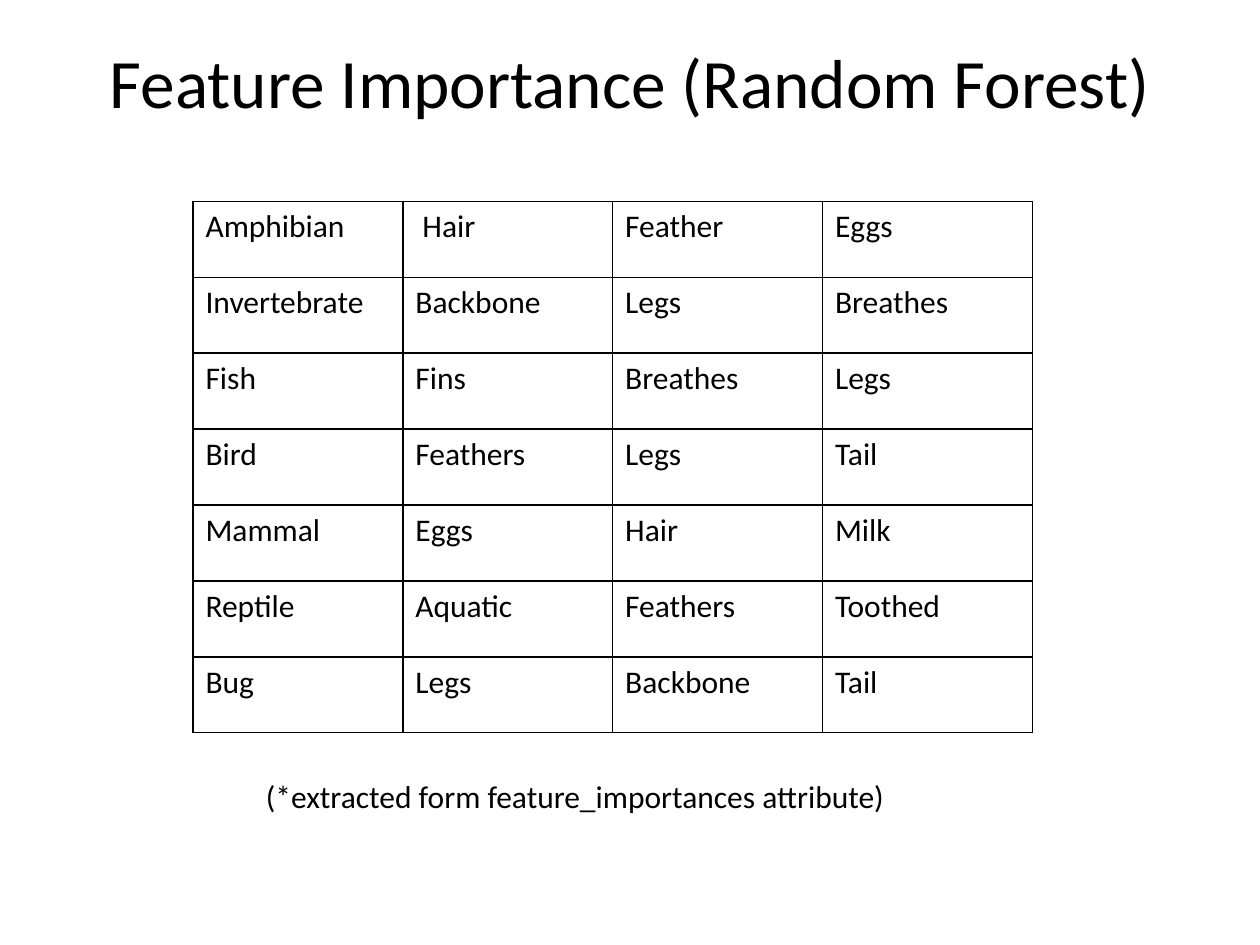
from dataclasses import dataclass

from lxml import etree
from pptx import Presentation
from pptx import util as u
from pptx.dml.color import RGBColor
from pptx.enum import text
from pptx.oxml.ns import qn


@dataclass(frozen=True)
class Theme:
    font: str = "Calibri"
    ink: str = "000000"
    paper: str = "FFFFFF"
    title_size: float = 39.6
    body_size: float = 18
    border: float = 1


def write(tf, content, *, font, size, color, align=text.PP_ALIGN.LEFT):
    """Put one formatted paragraph into a text frame."""
    p = tf.paragraphs[0]
    p.alignment = align
    r = p.add_run()
    r.text = content
    r.font.name = font
    r.font.size = u.Pt(size)
    r.font.color.rgb = RGBColor.from_string(color)


class SlideBuilder:
    def __init__(self, slide, theme):
        self.slide = slide
        self.theme = theme
        fill = slide.background.fill
        fill.solid()
        fill.fore_color.rgb = RGBColor.from_string(theme.paper)

    def text_box(self, content, left, top, width, height, *, size,
                 align=text.PP_ALIGN.LEFT, anchor=text.MSO_ANCHOR.TOP):
        sp = self.slide.shapes.add_textbox(
            u.Cm(left), u.Cm(top), u.Cm(width), u.Cm(height))
        tf = sp.text_frame
        tf.word_wrap = True
        tf.vertical_anchor = anchor
        write(tf, content, font=self.theme.font, size=size,
              color=self.theme.ink, align=align)

    def table(self, rows, left, top, col_width, row_height):
        n_rows, n_cols = len(rows), len(rows[0])
        frame = self.slide.shapes.add_table(
            n_rows, n_cols, u.Cm(left), u.Cm(top),
            u.Cm(col_width * n_cols), u.Cm(row_height * n_rows))
        tbl = frame.table
        tbl.first_row = tbl.horz_banding = False
        for col in tbl.columns:
            col.width = u.Cm(col_width)
        for row, values in zip(tbl.rows, rows):
            row.height = u.Cm(row_height)
            for cell, value in zip(row.cells, values):
                write(cell.text_frame, value, font=self.theme.font,
                      size=self.theme.body_size, color=self.theme.ink)
                self.cell_borders(cell)
                cell.fill.background()

    def cell_borders(self, cell):
        tc_pr = cell._tc.get_or_add_tcPr()
        for side in ("a:lnL", "a:lnR", "a:lnT", "a:lnB"):
            ln = etree.SubElement(tc_pr, qn(side),
                                  w=str(u.Pt(self.theme.border)))
            fill = etree.SubElement(ln, qn("a:solidFill"))
            etree.SubElement(fill, qn("a:srgbClr"), val=self.theme.ink)


FEATURES = [
    ("Amphibian", " Hair", "Feather", "Eggs"),
    ("Invertebrate", "Backbone", "Legs", "Breathes"),
    ("Fish", "Fins", "Breathes", "Legs"),
    ("Bird", "Feathers", "Legs", "Tail"),
    ("Mammal", "Eggs", "Hair", "Milk"),
    ("Reptile", "Aquatic", "Feathers", "Toothed"),
    ("Bug", "Legs", "Backbone", "Tail"),
]


def main():
    prs = Presentation()
    prs.slide_width, prs.slide_height = u.Cm(25.4), u.Cm(19.05)
    theme = Theme()
    s = SlideBuilder(prs.slides.add_slide(prs.slide_layouts[6]), theme)

    # Title
    s.text_box("Feature Importance (Random Forest)", 1.27, 0.03, 22.86, 3.18,
               size=theme.title_size, align=text.PP_ALIGN.CENTER,
               anchor=text.MSO_ANCHOR.MIDDLE)

    # Top features for each class
    s.table(FEATURES, left=3.89, top=4.06, col_width=4.23, row_height=1.53)

    # Footnote
    s.text_box("(*extracted form feature_importances attribute)",
               5.11, 15.54, 16.1, 1.02, size=theme.body_size)

    prs.save("out.pptx")


if __name__ == "__main__":
    main()
